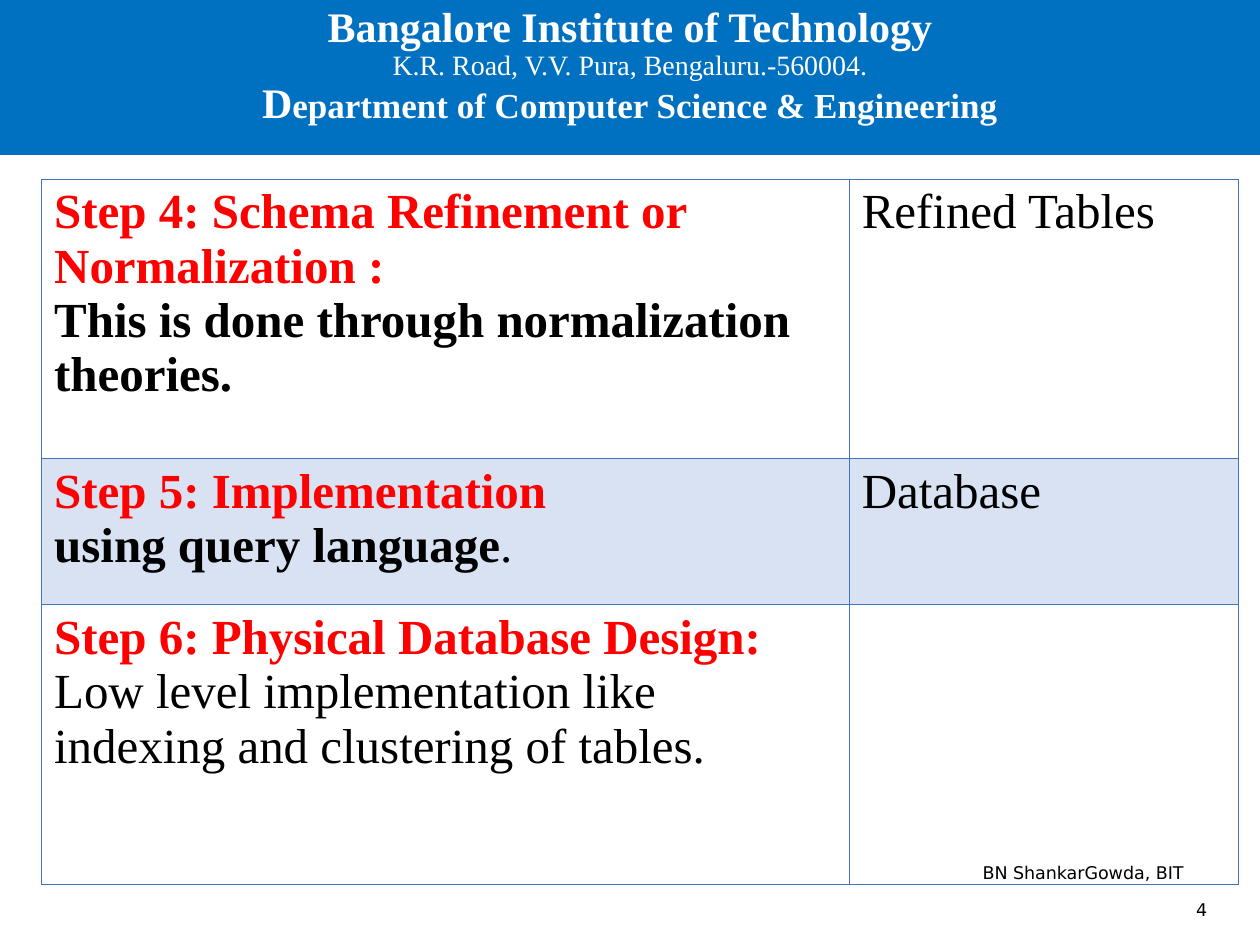
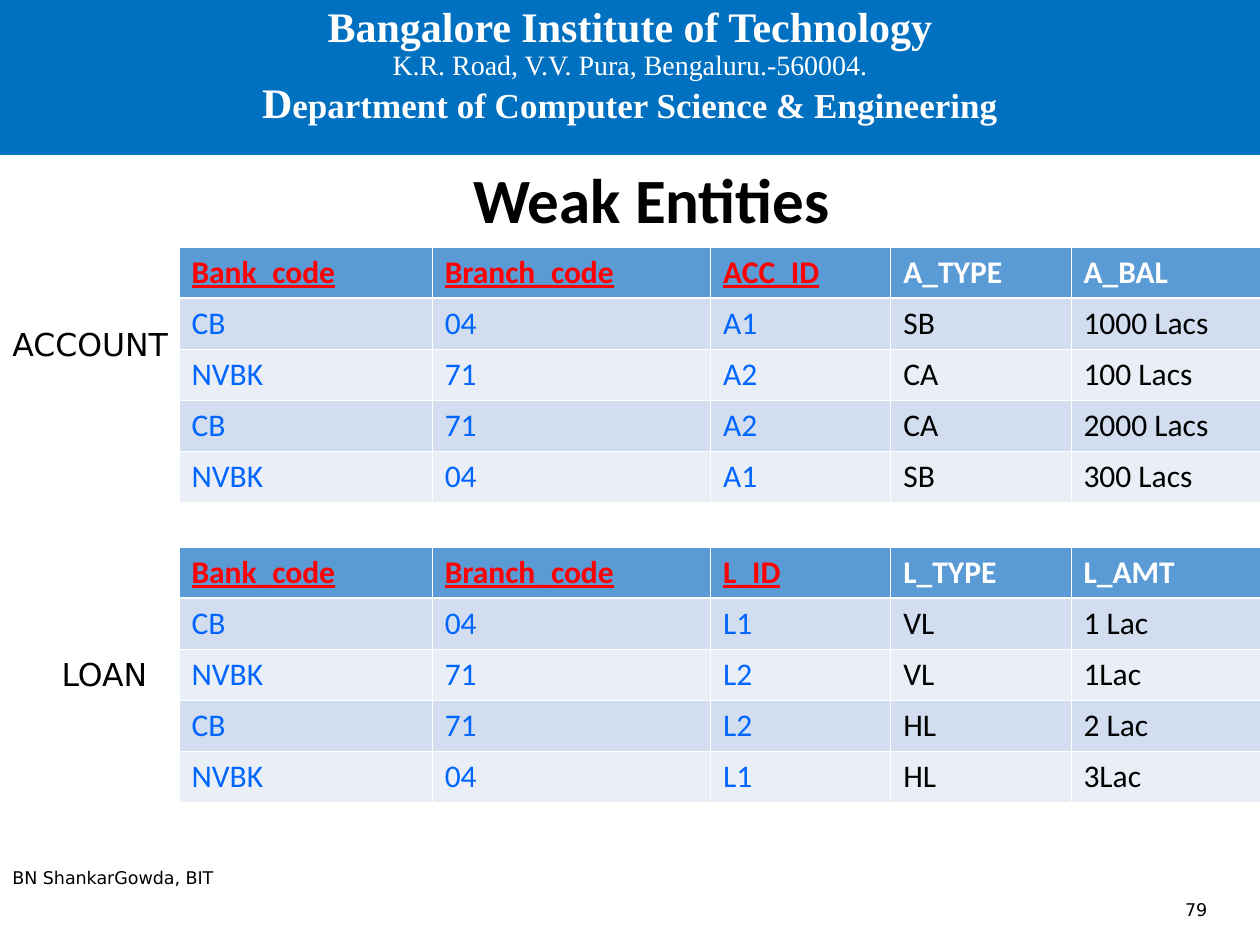
from dataclasses import dataclass

from lxml.etree import SubElement
from pptx import Presentation
from pptx.dml.color import RGBColor
from pptx.enum.shapes import MSO_SHAPE as SHAPE
from pptx.enum.text import MSO_ANCHOR as ANCHOR, MSO_AUTO_SIZE as AUTO, PP_ALIGN as ALIGN
from pptx.oxml.ns import qn
from pptx.util import Inches, Pt


@dataclass(frozen=True)
class Theme:
    """Colours, fonts and type sizes shared by the slides."""
    band: str = "0070C0"
    white: str = "FFFFFF"
    black: str = "000000"
    red: str = "FF0000"
    key: str = "0066FF"
    grid: str = "4472C4"
    head: str = "5B9BD5"
    odd: str = "D2DEEF"
    even: str = "EAEFF7"
    serif: str = "Times New Roman"
    sans: str = "Calibri"
    plain: str = "DejaVu Sans"
    title: int = 36
    step: int = 28
    name: int = 24
    dept: int = 20
    data: int = 18
    address: int = 16
    foot: int = 10
    thin: float = 0.45
    mid: float = 0.96
    thick: float = 1.47


T = Theme()
AUTHOR = "BN ShankarGowda, BIT"

STEPS = [
    ([[("Step 4: Schema Refinement or Normalization :", T.red, True)],
      [("This is done through normalization theories.", T.black, True)]],
     "Refined Tables"),
    ([[("Step 5: Implementation", T.red, True)],
      [("using query language", T.black, True), (".", T.black, False)]],
     "Database"),
    ([[("Step 6: Physical Database Design:", T.red, True)],
      [("Low level implementation like indexing and clustering of tables.", T.black, False)]],
     ""),
]

ACCOUNT = [
    ("Bank_code", "Branch_code", "ACC_ID", "A_TYPE", "A_BAL"),
    ("CB", "04", "A1", "SB", "1000 Lacs"),
    ("NVBK", "71", "A2", "CA", "100 Lacs"),
    ("CB", "71", "A2", "CA", "2000 Lacs"),
    ("NVBK", "04", "A1", "SB", "300 Lacs"),
]

LOAN = [
    ("Bank_code", "Branch_code", "L_ID", "L_TYPE", "L_AMT"),
    ("CB", "04", "L1", "VL", "1 Lac"),
    ("NVBK", "71", "L2", "VL", "1Lac"),
    ("CB", "71", "L2", "HL", "2 Lac"),
    ("NVBK", "04", "L1", "HL", "3Lac"),
]


def add_run(p, text, size, font, color=T.black, bold=False, underline=False):
    """Append one styled run to a paragraph."""
    r = p.add_run()
    r.text = text
    f = r.font
    f.size, f.name, f.bold, f.underline = Pt(size), font, bold, underline
    f.color.rgb = RGBColor.from_string(color)


def add_text(s, box, text, size, font, bold=False, align=ALIGN.LEFT,
             anchor=ANCHOR.TOP, wrap=True):
    """Add a one-paragraph text box and return its paragraph."""
    tf = s.shapes.add_textbox(*map(Inches, box)).text_frame
    tf.word_wrap, tf.vertical_anchor = wrap, anchor
    if not wrap:
        tf.auto_size = AUTO.SHAPE_TO_FIT_TEXT
    p = tf.paragraphs[0]
    p.alignment = align
    add_run(p, text, size, font, bold=bold)
    return p


def add_grid(s, box, cols, rows):
    """Add a table without preset style flags and size its columns and rows."""
    table = s.shapes.add_table(len(rows), len(cols), *map(Inches, box)).table
    table.first_row = table.horz_banding = False
    for col, width in zip(table.columns, cols):
        col.width = Inches(width)
    for row, height in zip(table.rows, rows):
        row.height = Inches(height)
    return table


def style_cell(cell, color, top, bottom, fill=None, alpha=None):
    """Draw the four borders of a cell, then its fill."""
    tc_pr = cell._tc.get_or_add_tcPr()
    for side, width in zip("LRTB", (T.thin, T.thin, top, bottom)):
        ln = SubElement(tc_pr, qn(f"a:ln{side}"), w=str(Pt(width)))
        SubElement(SubElement(ln, qn("a:solidFill")), qn("a:srgbClr"), val=color)
    if fill is None:
        cell.fill.background()
        return
    cell.fill.solid()
    cell.fill.fore_color.rgb = RGBColor.from_string(fill)
    if alpha:
        clr = tc_pr.find(f"{qn('a:solidFill')}/{qn('a:srgbClr')}")
        SubElement(clr, qn("a:alpha"), val=str(alpha * 1000))


def add_band(s, box):
    """Add the institute band at the top of a slide."""
    sp = s.shapes.add_shape(SHAPE.RECTANGLE, *map(Inches, box))
    sp.shadow.inherit = False
    sp.fill.solid()
    sp.fill.fore_color.rgb = RGBColor.from_string(T.band)
    sp.line.fill.background()
    tf = sp.text_frame
    tf.word_wrap, tf.vertical_anchor = True, ANCHOR.TOP
    p = tf.paragraphs[0]
    p.alignment, p.line_spacing = ALIGN.CENTER, 0.9
    add_run(p, "Bangalore Institute of Technology", T.name, T.serif, T.white, True)
    p.add_line_break()
    add_run(p, "K.R. Road, V.V. Pura, Bengaluru.-560004.", T.address, T.serif, T.white)
    p.add_line_break()
    add_run(p, "D", T.name, T.serif, T.white, True)
    add_run(p, "epartment of Computer Science & Engineering", T.dept, T.serif, T.white, True)


def add_footer(s, number, author_box):
    """Add the slide number and the author's name."""
    add_text(s, (7.43, 7.02, 2.25, 0.4), number, T.foot, T.plain,
             align=ALIGN.RIGHT, anchor=ANCHOR.MIDDLE)
    add_text(s, author_box, AUTHOR, T.foot, T.plain)


def add_step_table(s, box):
    """Add the design steps with their results."""
    table = add_grid(s, box, (6.41, 3.09), (2.22, 1.16, 2.22))
    for i, (paragraphs, result) in enumerate(STEPS):
        top = T.mid if i == 1 else T.thin
        bottom = T.mid if i == 0 else T.thin
        fill = T.grid if i % 2 else None
        step, output = table.cell(i, 0), table.cell(i, 1)
        for cell in (step, output):
            style_cell(cell, T.grid, top, bottom, fill, alpha=20)
        tf = step.text_frame
        for j, runs in enumerate(paragraphs):
            p = tf.add_paragraph() if j else tf.paragraphs[0]
            for text, color, bold in runs:
                add_run(p, text, T.step, T.serif, color, bold)
        if result:
            add_run(output.text_frame.paragraphs[0], result, T.step, T.serif)


def add_entity_table(s, box, records):
    """Add a relation whose first three columns form its key."""
    height = box[3] / len(records)
    table = add_grid(s, box, (2.01, 2.21, 1.43, 1.43, 1.5), [height] * len(records))
    for i, record in enumerate(records):
        head = i == 0
        fill = T.head if head else (T.even, T.odd)[i % 2]
        top = T.thick if i == 1 else T.thin
        bottom = T.thick if head else T.thin
        key_color, color = (T.red, T.white) if head else (T.key, T.black)
        for j, text in enumerate(record):
            cell, is_key = table.cell(i, j), j < 3
            style_cell(cell, T.white, top, bottom, fill)
            add_run(cell.text_frame.paragraphs[0], text, T.data, T.sans,
                    key_color if is_key else color, head, head and is_key)


def add_slide(prs, number, author_box):
    """Add a blank slide with the shared band and footer."""
    s = prs.slides.add_slide(prs.slide_layouts[6])
    add_band(s, (0, 0, 10, 1.23))
    add_footer(s, number, author_box)
    return s


def build_steps(prs):
    """Build the slide on design steps 4 to 6."""
    s = add_slide(prs, "4", (7.7, 6.79, 2.17, 0.42))
    add_step_table(s, (0.33, 1.42, 9.5, 5.6))


def build_weak_entities(prs):
    """Build the slide on weak entities."""
    s = add_slide(prs, "79", (0, 6.83, 3.17, 0.5))
    p = add_text(s, (0.86, 1.29, 8.62, 0.68), "Weak Entities", T.title, T.sans,
                 bold=True, align=ALIGN.CENTER)
    p.line_spacing = 0.9
    for records, top, name, label_box in (
            (ACCOUNT, 1.96, "ACCOUNT", (0, 2.53, 1.44, 0.4)),
            (LOAN, 4.34, "LOAN", (0.39, 5.15, 0.94, 0.4))):
        add_entity_table(s, (1.42, top, 8.58, 2.03), records)
        add_text(s, label_box, name, T.data, T.plain, wrap=False)


def main():
    """Build the presentation and save it."""
    prs = Presentation()
    prs.slide_width, prs.slide_height = Inches(10), Inches(7.5)
    build_steps(prs)
    build_weak_entities(prs)
    prs.save("out.pptx")


if __name__ == "__main__":
    main()
